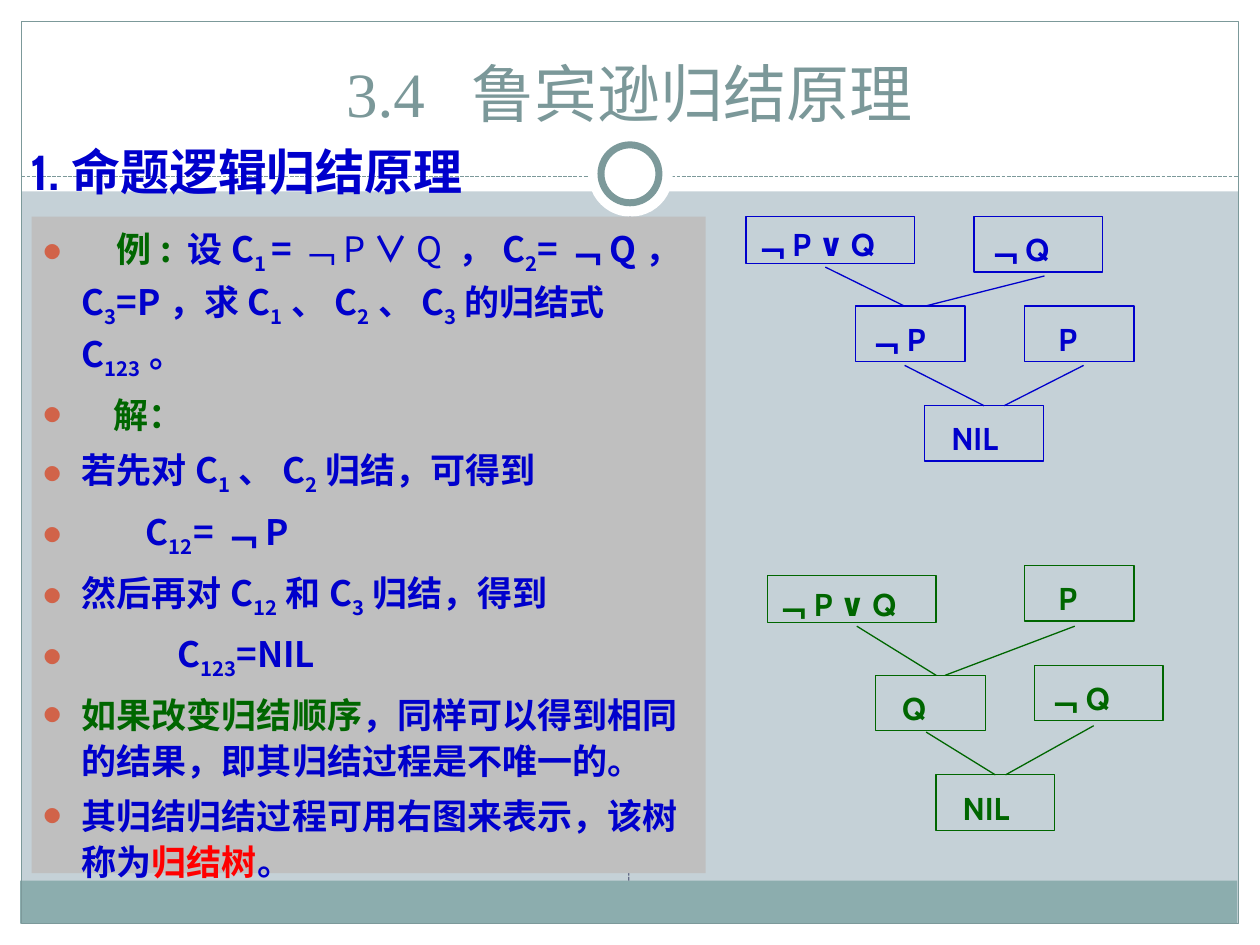
from dataclasses import dataclass

from lxml import etree
from pptx import Presentation
from pptx.dml.color import RGBColor
from pptx.enum.dml import MSO_LINE
from pptx.enum.shapes import MSO_CONNECTOR, MSO_SHAPE
from pptx.enum.text import MSO_ANCHOR, PP_ALIGN
from pptx.oxml.ns import qn
from pptx.util import Inches, Pt

RECTANGLE, OVAL = MSO_SHAPE.RECTANGLE, MSO_SHAPE.OVAL
STRAIGHT = MSO_CONNECTOR.STRAIGHT
DASH = MSO_LINE.SQUARE_DOT
TOP, BOTTOM = MSO_ANCHOR.TOP, MSO_ANCHOR.BOTTOM
LEFT, CENTER = PP_ALIGN.LEFT, PP_ALIGN.CENTER
TOP_SIDE = 0


@dataclass(frozen=True)
class Theme:
    backdrop: str = "C5D1D7"
    white: str = "FFFFFF"
    footer: str = "8CADAE"
    frame: str = "7C999A"
    divider: str = "646B86"
    title: str = "7B9899"
    panel: str = "BFBFBF"
    bullet: str = "D16349"
    blue: str = "0000CC"
    green: str = "006600"
    red: str = "FF0000"
    title_size: int = 36
    heading_size: int = 28
    body_size: int = 20
    node_size: int = 18
    hairline: float = 0.75
    ring: int = 4
    serif: str = "Times New Roman"
    latin: str = "Cabin"
    chinese: str = "Noto Sans CJK SC"


theme = Theme()
deck = Presentation()
deck.slide_width, deck.slide_height = Inches(10), Inches(7.5)
column, row = deck.slide_width / 10, deck.slide_height / 7.5
page = deck.slides.add_slide(deck.slide_layouts[6])
page.background.fill.solid()
page.background.fill.fore_color.rgb = RGBColor.from_string(theme.backdrop)


def write(para, text, size=theme.body_size, font=theme.chinese, color=theme.blue, bold=True):
    """Append text to a paragraph; parts between bars become subscripts."""
    for index, part in enumerate(text.split("|")):
        if not part:
            continue
        span = para.add_run()
        span.text = part
        span.font.size, span.font.name, span.font.bold = Pt(size), font, bold
        span.font.color.rgb = RGBColor.from_string(color)
        properties = span._r.get_or_add_rPr()
        etree.SubElement(properties, qn("a:ea"), typeface=theme.chinese)
        if index % 2:
            properties.set("baseline", "-25000")


def draw_line(x1, y1, x2, y2, color, dash=None):
    line = page.shapes.add_connector(STRAIGHT, round(x1 * column), round(y1 * row),
                                     round(x2 * column), round(y2 * row))
    line.line.color.rgb = RGBColor.from_string(color)
    line.line.width = Pt(theme.hairline)
    if dash:
        line.line.dash_style = dash
    etree.SubElement(line._element.spPr, qn("a:effectLst"))
    return line


# Backdrop: white margins, footer bar, frame, ring and the text panel
shapes = {}
for name, kind, left, top, width, height, fill, outline, weight in (
    ("bottom margin", RECTANGLE, 0, 7.33, 10, 0.17, theme.white, None, 0),
    ("header", RECTANGLE, 0, 0, 10, 1.52, theme.white, None, 0),
    ("left margin", RECTANGLE, 0, 0, 0.17, 7.5, theme.white, None, 0),
    ("right margin", RECTANGLE, 9.83, 0, 0.17, 7.5, theme.white, None, 0),
    ("footer", RECTANGLE, 0.16, 6.99, 9.66, 0.34, theme.footer, None, 0),
    ("frame", RECTANGLE, 0.17, 0.17, 9.66, 7.16, None, theme.frame, theme.hairline),
    ("header rule", None, 0.17, 1.4, 9.83, 1.4, None, theme.frame, 0),
    ("ring gap", OVAL, 4.67, 1.05, 0.67, 0.67, theme.white, None, 0),
    ("ring", OVAL, 4.77, 1.15, 0.46, 0.46, theme.white, theme.frame, theme.ring),
    ("divider", None, 4.99, 6.99, 5, 1.72, None, theme.divider, 0),
    ("panel", RECTANGLE, 0.25, 1.72, 5.35, 5.21, theme.panel, None, 0),
):
    if kind is None:
        shapes[name] = draw_line(left, top, width, height, outline, DASH)
        continue
    shape = page.shapes.add_shape(kind, round(left * column), round(top * row),
                                  round(width * column), round(height * row))
    shape.shadow.inherit = False
    if fill:
        shape.fill.solid()
        shape.fill.fore_color.rgb = RGBColor.from_string(fill)
    else:
        shape.fill.background()
    if outline:
        shape.line.color.rgb = RGBColor.from_string(outline)
        shape.line.width = Pt(weight)
    else:
        shape.line.fill.background()
    shapes[name] = shape
shapes["divider"].begin_connect(shapes["footer"], TOP_SIDE)

# Title and section heading
for text, left, top, width, height, anchor, align, spacing, style in (
    ("3.4  鲁宾逊归结原理", 0.33, 0.25, 9.33, 0.83, BOTTOM, CENTER, 1,
     dict(size=theme.title_size, font=theme.serif, color=theme.title, bold=False)),
    ("1.命题逻辑归结原理", 0.14, 0.98, 4.69, 0.66, TOP, LEFT, 1.2,
     dict(size=theme.heading_size, font=theme.latin)),
):
    box = page.shapes.add_textbox(round(left * column), round(top * row),
                                  round(width * column), round(height * row))
    box.text_frame.word_wrap = True
    box.text_frame.vertical_anchor = anchor
    para = box.text_frame.paragraphs[0]
    para.alignment, para.line_spacing = align, spacing
    write(para, text, **style)

# Worked example: text indent, then the spans with their format
green, red, plain = dict(color=theme.green), dict(color=theme.red), dict(bold=False)
steps = (
    (0.3, (("　例: ", green), ("设C|1 |=", {}), ("﹁P ", plain), ("∨", {}), (" Q ", plain),
           ("，C|2|=﹁Q，C|3|=P，求C|1|、C|2|、C|3|的归结式C|123|。", {}))),
    (0.55, (("解：", green),)),
    (0.3, (("若先对C|1|、C|2|归结，可得到", {}),)),
    (0.81, (("C|12|=﹁P", {}),)),
    (0.3, (("然后再对C|12|和C|3|归结，得到", {}),)),
    (1.06, (("C|123|=NIL", {}),)),
    (0.3, (("如果改变归结顺序", green),
           ("，同样可以得到相同的结果，即其归结过程是不唯一的。", {}))),
    (0.3, (("其归结归结过程可用右图来表示，该树称为", {}), ("归结树", red), ("。", {}))),
)
frame = shapes["panel"].text_frame
frame.word_wrap = True
frame.vertical_anchor = TOP
for index, (indent, spans) in enumerate(steps):
    para = frame.add_paragraph() if index else frame.paragraphs[0]
    para.alignment = LEFT
    para.line_spacing = 1.1
    para.space_before = Pt(5 if index else 0)
    properties = para._p.get_or_add_pPr()
    properties.set("marL", str(Inches(indent)))
    properties.set("indent", str(-Inches(indent)))
    bullet_color = etree.SubElement(properties, qn("a:buClr"))
    etree.SubElement(bullet_color, qn("a:srgbClr"), val=theme.bullet)
    etree.SubElement(properties, qn("a:buSzPct"), val="48000")
    etree.SubElement(properties, qn("a:buFont"), typeface=theme.chinese)
    etree.SubElement(properties, qn("a:buChar"), char="●")
    for text, style in spans:
        write(para, text, **style)

# Resolution trees: box sizes and left insets depend on the formula
node_formats = {
    "﹁P ∨ Q": (1.34, 0.37, 0.06, 0.01),
    "﹁Q": (1.02, 0.44, 0.1, 0.05),
    "﹁P": (0.87, 0.44, 0.1, 0.05),
    "P": (0.87, 0.44, 0.27, 0.05),
    "Q": (0.87, 0.44, 0.21, 0.05),
    "NIL": (0.94, 0.44, 0.21, 0.05),
}
trees = (
    (theme.blue,
     (("﹁P ∨ Q", 5.92, 1.72), ("﹁Q", 7.73, 1.72), ("﹁P", 6.79, 2.43),
      ("P", 8.13, 2.43), ("NIL", 7.34, 3.22)),
     ((6.55, 2.12, 7.18, 2.43), (8.29, 2.19, 7.34, 2.43),
      (8.6, 2.9, 7.97, 3.22), (7.18, 2.9, 7.81, 3.22))),
    (theme.green,
     (("﹁P ∨ Q", 6.09, 4.57), ("P", 8.13, 4.49), ("Q", 6.95, 5.36),
      ("﹁Q", 8.21, 5.28), ("NIL", 7.43, 6.15)),
     ((6.8, 4.97, 7.43, 5.36), (8.53, 4.97, 7.5, 5.36),
      (8.68, 5.76, 7.98, 6.15), (7.35, 5.81, 7.9, 6.15))),
)
for color, nodes, edges in trees:
    for formula, left, top in nodes:
        width, height, side_inset, top_inset = node_formats[formula]
        node = page.shapes.add_shape(RECTANGLE, round(left * column), round(top * row),
                                     round(width * column), round(height * row))
        node.shadow.inherit = False
        node.fill.background()
        node.line.color.rgb = RGBColor.from_string(color)
        node.line.width = Pt(theme.hairline)
        frame = node.text_frame
        frame.word_wrap, frame.vertical_anchor = True, TOP
        frame.margin_left, frame.margin_right = Inches(side_inset), Inches(0.06)
        frame.margin_top = frame.margin_bottom = Inches(top_inset)
        para = frame.paragraphs[0]
        para.alignment, para.line_spacing = LEFT, 1.2
        if formula.startswith("﹁"):
            write(para, "﹁", size=theme.node_size, color=color)
        write(para, formula.lstrip("﹁"), size=theme.node_size, font=theme.latin, color=color)
    for edge in edges:
        line = draw_line(*edge, color)
    line.end_connect(node, TOP_SIDE)

deck.save("out.pptx")
